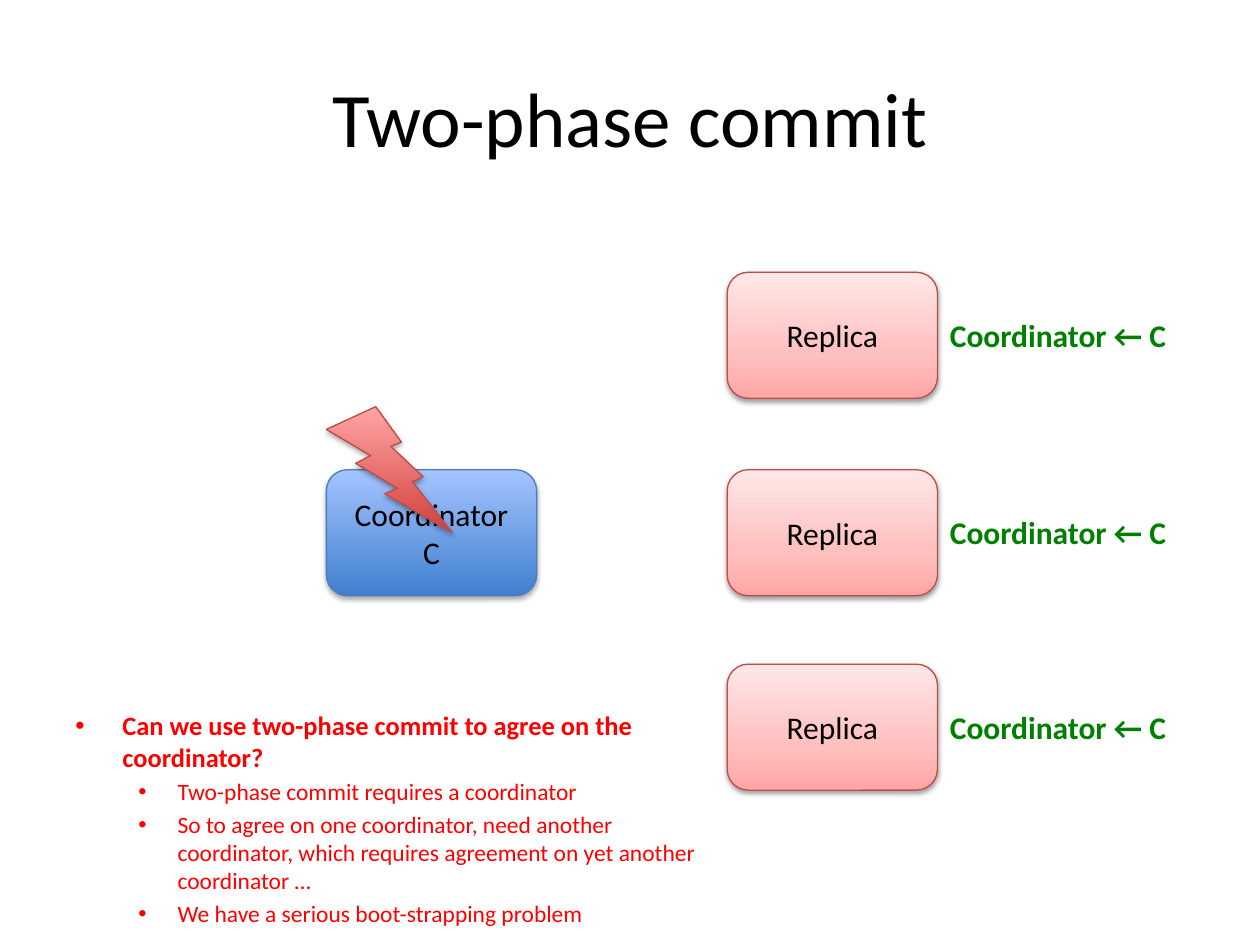
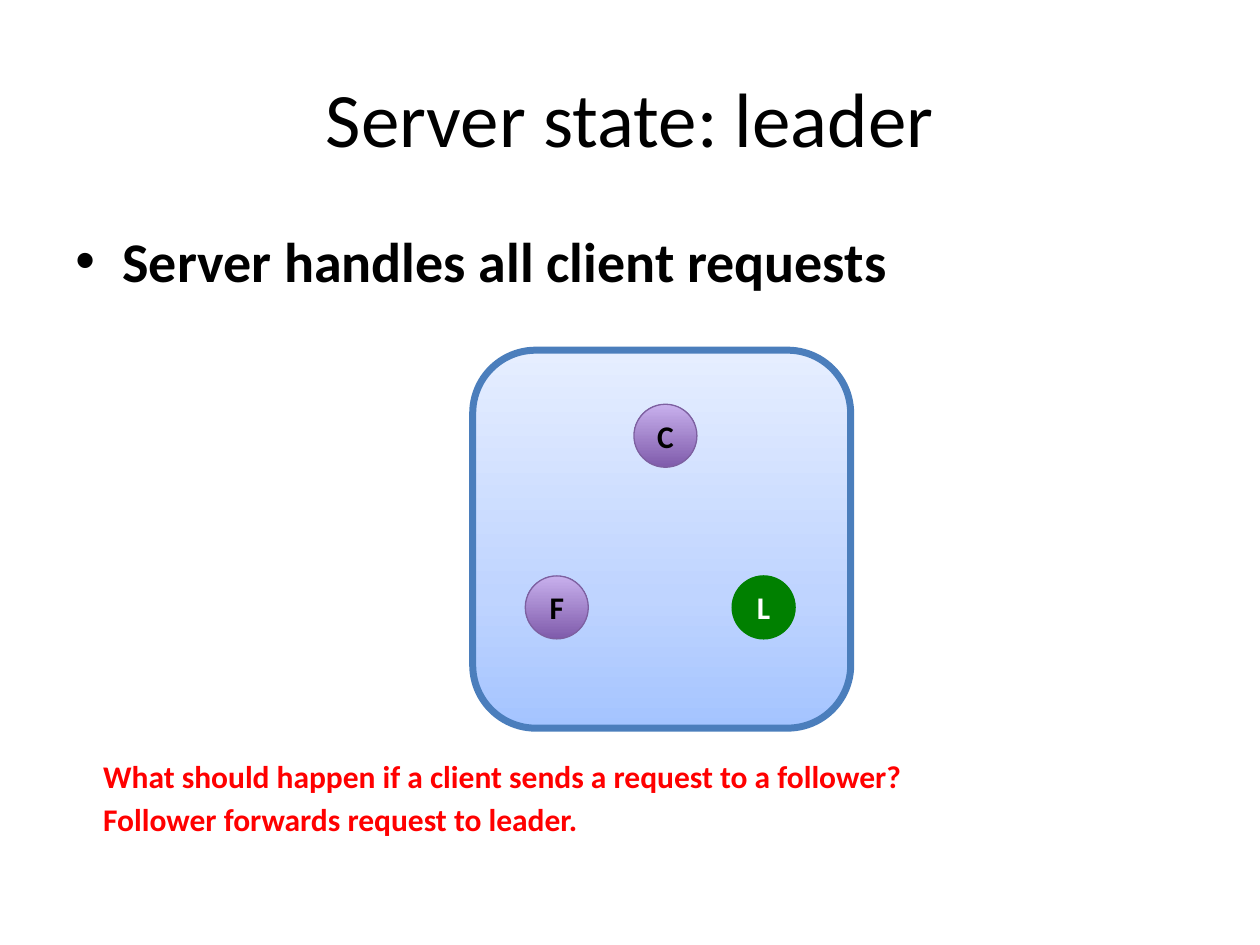
from dataclasses import dataclass, field

from lxml import etree
from pptx import Presentation
from pptx.dml.color import RGBColor
from pptx.enum import shapes as kinds, text as te
from pptx.oxml import ns
from pptx.util import Cm, Pt


def look(stops, line, width=0.75, shade=None, ink="000000", bold=False):
    return dict(stops=stops, line=line, width=width, shade=shade, ink=ink, bold=bold)


@dataclass
class Theme:
    font: str = "Calibri"
    black: str = "000000"
    red: str = "FF0000"
    green: str = "008000"
    title: float = 44
    body: float = 32
    label: float = 18
    ask: float = 15.1
    reason: float = 13.4
    # Gradient stops run from the bottom up; shade is (opacity %, offset pt).
    looks: dict = field(default_factory=lambda: {
        "coord": look([(0, "3F80CE"), (100, "A4C4FF")], "4B7EBC", shade=(35, 1.8)),
        "replica": look([(0, "FFA6A5"), (35, "FFC0BF"), (100, "FFE7E7")], "BF4C48",
                        shade=(38, 1.6)),
        "bolt": look([(0, "D1403C"), (100, "FFA6A5")], "BF4C48", shade=(35, 1.8)),
        "server": look([(0, "A4C4FF"), (35, "BFD4FF"), (100, "E6EEFF")], "4B7EBC", 4),
        "state": look([(0, "7F5BAB"), (100, "C8B0ED")], "7D60A0", bold=True),
        "leader": look([(0, "008000")], "008000", ink="FFFFFF", bold=True),
    })


theme = Theme()
ROUND = kinds.MSO_SHAPE.ROUNDED_RECTANGLE
OVAL = kinds.MSO_SHAPE.OVAL
BOLT = kinds.MSO_SHAPE.LIGHTNING_BOLT
CENTER = te.PP_ALIGN.CENTER
MIDDLE = te.MSO_ANCHOR.MIDDLE


def write(frame, lines, size, ink, bold=False, align=None):
    """Fill a text frame, one paragraph a line."""
    for i, line in enumerate(lines):
        para = frame.add_paragraph() if i else frame.paragraphs[0]
        para.alignment = align
        run = para.add_run()
        run.text = line
        form = dict(name=theme.font, size=Pt(size), bold=bold)
        for key, value in form.items():
            setattr(run.font, key, value)
        run.font.color.rgb = RGBColor.from_string(ink)


def draw(group, kind, box, name, lines=()):
    """Add a shape in one of the theme's looks."""
    style = theme.looks[name]
    shape = group.add_shape(kind, *map(Cm, box))
    stops = style["stops"]
    if len(stops) == 1:
        shape.fill.solid()
        shape.fill.fore_color.rgb = RGBColor.from_string(stops[0][1])
    else:
        shape.fill.gradient()
        shape.fill.gradient_angle = 90
        ramp = shape.element.spPr.find(".//" + ns.qn("a:gsLst"))
        for old in list(ramp):
            ramp.remove(old)
        for pos, tint in stops:
            stop = etree.SubElement(ramp, ns.qn("a:gs"), pos=str(pos * 1000))
            etree.SubElement(stop, ns.qn("a:srgbClr"), val=tint)
    shape.line.color.rgb = RGBColor.from_string(style["line"])
    shape.line.width = Pt(style["width"])
    shape.shadow.inherit = False
    if style["shade"]:
        alpha, dist = style["shade"]
        glow = etree.SubElement(
            shape.element.spPr.find(ns.qn("a:effectLst")), ns.qn("a:outerShdw"),
            blurRad=str(Pt(3.1)), dist=str(Pt(dist)), dir="5400000", rotWithShape="0")
        tint = etree.SubElement(glow, ns.qn("a:srgbClr"), val=theme.black)
        etree.SubElement(tint, ns.qn("a:alpha"), val=str(alpha * 1000))
    shape.text_frame.vertical_anchor = MIDDLE
    write(shape.text_frame, lines, theme.label, style["ink"], style["bold"], CENTER)


deck = Presentation()
deck.slide_width, deck.slide_height = Cm(25.4), Cm(19.05)

# Titles
slides = []
for head in ("Two-phase commit", "Server state: leader"):
    slide = deck.slides.add_slide(deck.slide_layouts[5])
    title = slide.shapes.title
    spot = dict(left=1.27, top=0.76, width=22.86, height=3.18)
    for key, value in spot.items():
        setattr(title, key, Cm(value))
    title.text_frame.vertical_anchor = MIDDLE
    write(title.text_frame, [head], theme.title, theme.black, align=CENTER)
    slides.append(slide.shapes)
commit, state = slides

# Bulleted text: (shapes, box, [(line, size, bold, margin, hang)], ink)
lists = [
    (commit, (1.27, 14.17, 13.69, 4.7), theme.red, [
        ("Can we use two-phase commit to agree on the coordinator?", theme.ask, 0),
        ("Two-phase commit requires a coordinator", theme.reason, 1),
        ("So to agree on one coordinator, need another coordinator, "
         "which requires agreement on yet another coordinator …", theme.reason, 1),
        ("We have a serious boot-strapping problem", theme.reason, 1)]),
    (state, (1.27, 4.45, 22.86, 1.8), theme.black, [
        ("Server handles all client requests", theme.body, 0)]),
]
indents = [(0.95, 0.95), (2.06, 0.79)]
for group, box, ink, items in lists:
    frame = group.add_textbox(*map(Cm, box)).text_frame
    frame.word_wrap = True
    write(frame, [item[0] for item in items], theme.body, ink)
    for para, (_, size, level) in zip(frame.paragraphs, items):
        font = para.runs[0].font
        font.size, font.bold = Pt(size), level == 0
        para.level = level
        para.space_before = Pt(size * 0.2)
        margin, hang = indents[level]
        props = para._p.get_or_add_pPr()
        props.set("marL", str(Cm(margin)))
        props.set("indent", str(-Cm(hang)))
        etree.SubElement(props, ns.qn("a:buFont"), typeface="Arial")
        etree.SubElement(props, ns.qn("a:buChar"), char="•")

# Coordinator and replicas
wide, high = 4.24, 2.54
left, mid = 14.66, 9.47
draw(commit, ROUND, (6.58, mid, wide, high), "coord", ["Coordinator", "C"])
labels = []
for top in (5.49, mid, 13.39):
    draw(commit, ROUND, (left, top, wide, high), "replica", ["Replica"])
    labels.append((commit, (left + wide, top + 0.75, 4.93, 1.02),
                   "Coordinator ← C", theme.green))
draw(commit, BOLT, (6.58, 8.2, high, high), "bolt")

# Server with its three states
server = state.add_group_shape().shapes
draw(server, ROUND, (9.53, 7.06, 7.62, 7.62), "server")
for mark, x, y, name in (("F", 10.59, 11.61, "state"),
                         ("L", 14.76, 11.61, "leader"),
                         ("C", 12.78, 8.15, "state")):
    draw(server, OVAL, (x, y, 1.27, 1.27), name, [mark])

# One-line labels and notes
labels += [
    (state, (1.83, 15.14, 16.76, 1.02),
     "What should happen if a client sends a request to a follower?", theme.red),
    (state, (1.83, 16, 10.19, 1.02), "Follower forwards request to leader.", theme.red),
]
for group, box, line, ink in labels:
    frame = group.add_textbox(*map(Cm, box)).text_frame
    frame.word_wrap = False
    frame.auto_size = te.MSO_AUTO_SIZE.SHAPE_TO_FIT_TEXT
    write(frame, [line], theme.label, ink, True)

deck.save("out.pptx")
